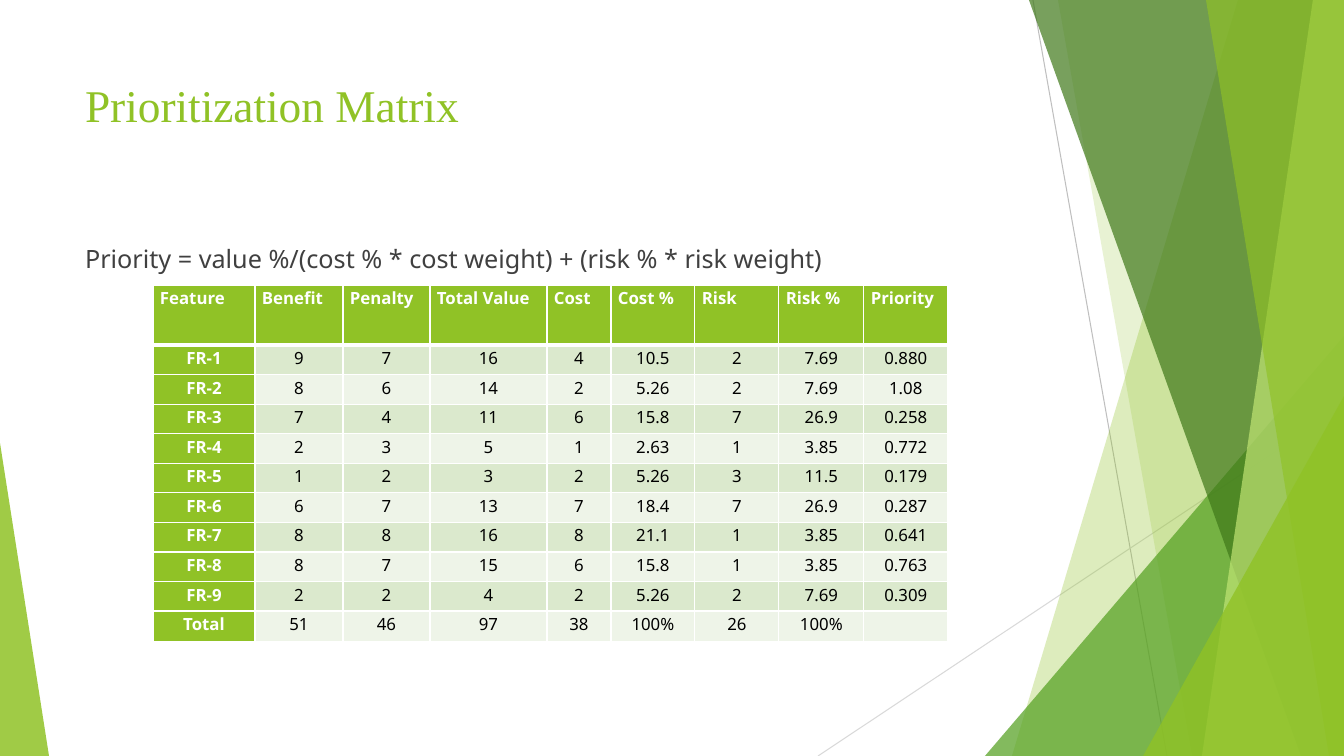
import pptx
import pptx.dml.color
import pptx.enum.shapes
import pptx.enum.text
import pptx.oxml.ns
import pptx.util
from lxml import etree

TITLE = "Prioritization Matrix"
FORMULA = "Priority = value %/(cost % * cost weight) + (risk % * risk weight)"
TABLE_ROWS = [
    ("Feature", "Benefit", "Penalty", "Total Value", "Cost", "Cost %", "Risk", "Risk %", "Priority"),
    ("FR-1", "9", "7", "16", "4", "10.5", "2", "7.69", "0.880"),
    ("FR-2", "8", "6", "14", "2", "5.26", "2", "7.69", "1.08"),
    ("FR-3", "7", "4", "11", "6", "15.8", "7", "26.9", "0.258"),
    ("FR-4", "2", "3", "5", "1", "2.63", "1", "3.85", "0.772"),
    ("FR-5", "1", "2", "3", "2", "5.26", "3", "11.5", "0.179"),
    ("FR-6", "6", "7", "13", "7", "18.4", "7", "26.9", "0.287"),
    ("FR-7", "8", "8", "16", "8", "21.1", "1", "3.85", "0.641"),
    ("FR-8", "8", "7", "15", "6", "15.8", "1", "3.85", "0.763"),
    ("FR-9", "2", "2", "4", "2", "5.26", "2", "7.69", "0.309"),
    ("Total", "51", "46", "97", "38", "100%", "26", "100%", ""),
]
COLORS = {
    "lime": "90C226", "green": "54A021", "forest": "3F7819", "pale": "C0E474",
    "band_dark": "DBE9CD", "band_light": "EEF4E8", "white": "FFFFFF", "black": "000000",
    "text": "404040", "line_dark": "BFBFBF", "line_light": "D9D9D9",
}
TITLE_FONT, BODY_FONT = "Times New Roman", "Noto Sans"

WIDTH, HEIGHT = 1344, 756
SCALE = 914400 / 100.8
COLUMN_WIDTHS = [102, 88, 87, 117, 64, 84, 84, 85, 84]
TABLE_LEFT, TABLE_TOP = 153, 285
HEADER_HEIGHT, BODY_HEIGHT = 60, 296

FACET_LINES = [((1033, 0), (1167, HEIGHT), "line_dark"), ((WIDTH, 406), (818, HEIGHT), "line_light")]
# Bands run to the right edge: top left x, bottom left x, colour, opacity in percent.
# Triangles stand on the bottom edge: left, top, width, apex position, colour, opacity.
FACETS = [
    ("band", 1238, 1012, "lime", 30),
    ("band", 1058, 1192, "lime", 20),
    ("triangle", 985, 336, 359, 1, "green", 72),
    ("band", 1029, 1301, "forest", 70),
    ("band", 1313, 1202, "pale", 70),
    ("band", 1206, 1329, "lime", 65),
    ("triangle", 1143, 396, 201, 1, "lime", 80),
    ("triangle", 0, 443, 49, 0, "lime", 85),
]


def emu(pixels):
    """Turn pixels into EMU."""
    return pptx.util.Emu(round(pixels * SCALE))


def rgb(name):
    """Look up a named colour."""
    return pptx.dml.color.RGBColor.from_string(COLORS[name])


def write_text(frame, text, font, size, color, bold=False, align="LEFT", spacing=None, inset=(10, 5)):
    """Write one formatted paragraph into a text frame."""
    frame.word_wrap = True
    frame.vertical_anchor = pptx.enum.text.MSO_ANCHOR.TOP
    frame.margin_left = frame.margin_right = emu(inset[0])
    frame.margin_top, frame.margin_bottom = emu(inset[1]), 0
    paragraph = frame.paragraphs[0]
    paragraph.alignment = getattr(pptx.enum.text.PP_ALIGN, align)
    paragraph.line_spacing = spacing
    run = paragraph.add_run()
    run.text = text
    run.font.name, run.font.size, run.font.bold = font, pptx.util.Pt(size), bold
    run.font.color.rgb = rgb(color)


def add_line(slide, start, end, color):
    """Draw a thin line without a shadow."""
    line = slide.shapes.add_connector(
        pptx.enum.shapes.MSO_CONNECTOR.STRAIGHT, *map(emu, start + end))
    line.line.color.rgb = rgb(color)
    line.line.width = pptx.util.Pt(0.75)
    etree.SubElement(line.element.spPr, pptx.oxml.ns.qn("a:effectLst"))


def style_facet(shape, color, opacity):
    """Give a facet its translucent fill."""
    shape.shadow.inherit = False
    shape.line.fill.background()
    shape.fill.solid()
    shape.fill.fore_color.rgb = rgb(color)
    fill_color = next(shape.element.spPr.iter(pptx.oxml.ns.qn("a:srgbClr")))
    etree.SubElement(fill_color, pptx.oxml.ns.qn("a:alpha"), val=str(opacity * 1000))


def add_band(slide, top_x, bottom_x):
    """Draw a four-sided band that reaches the right edge."""
    builder = slide.shapes.build_freeform(top_x, 0, scale=SCALE)
    builder.add_line_segments([(WIDTH, 0), (WIDTH, HEIGHT), (bottom_x, HEIGHT)], close=True)
    return builder.convert_to_shape()


def add_triangle(slide, left, top, width, apex):
    """Draw a triangle that stands on the bottom edge."""
    triangle = slide.shapes.add_shape(
        pptx.enum.shapes.MSO_SHAPE.ISOSCELES_TRIANGLE,
        emu(left), emu(top), emu(width), emu(HEIGHT - top))
    triangle.adjustments[0] = apex
    return triangle


def set_borders(cell, **widths):
    """Set white cell borders, with widths in points by side."""
    properties = cell._tc.get_or_add_tcPr()
    for side in "LRTB":
        border = etree.SubElement(properties, pptx.oxml.ns.qn("a:ln" + side),
                                  w=str(pptx.util.Pt(widths.get(side, 1))))
        fill = etree.SubElement(border, pptx.oxml.ns.qn("a:solidFill"))
        etree.SubElement(fill, pptx.oxml.ns.qn("a:srgbClr"), val=COLORS["white"])


def add_matrix(slide):
    """Build the prioritization table."""
    body_count = len(TABLE_ROWS) - 1
    table = slide.shapes.add_table(
        len(TABLE_ROWS), len(COLUMN_WIDTHS), emu(TABLE_LEFT), emu(TABLE_TOP),
        emu(sum(COLUMN_WIDTHS)), emu(HEADER_HEIGHT + BODY_HEIGHT)).table
    for column, width in zip(table.columns, COLUMN_WIDTHS):
        column.width = emu(width)
    for row_index, values in enumerate(TABLE_ROWS):
        is_header = row_index == 0
        table.rows[row_index].height = emu(HEADER_HEIGHT if is_header else BODY_HEIGHT / body_count)
        band = "band_dark" if row_index % 2 else "band_light"
        for column_index, value in enumerate(values):
            cell = table.cell(row_index, column_index)
            is_heading = is_header or column_index == 0
            set_borders(cell, B=3 if is_header else 1, T=3 if row_index == 1 else 1)
            cell.fill.solid()
            cell.fill.fore_color.rgb = rgb("lime" if is_heading else band)
            cell.margin_left = cell.margin_right = emu(7)
            cell.margin_top = cell.margin_bottom = 0
            if value:
                write_cell(cell, value, is_heading, "LEFT" if is_header else "CENTER")


def write_cell(cell, value, is_heading, align):
    """Write a table value, bold and white in headings."""
    paragraph = cell.text_frame.paragraphs[0]
    paragraph.alignment = getattr(pptx.enum.text.PP_ALIGN, align)
    paragraph.line_spacing = 1.07
    run = paragraph.add_run()
    run.text = value
    run.font.name, run.font.size, run.font.bold = BODY_FONT, pptx.util.Pt(12), is_heading
    run.font.color.rgb = rgb("white" if is_heading else "black")


presentation = pptx.Presentation()
presentation.slide_width, presentation.slide_height = emu(WIDTH), emu(HEIGHT)
slide = presentation.slides.add_slide(presentation.slide_layouts[5])

for start, end, color in FACET_LINES:
    add_line(slide, start, end, color)
for kind, *geometry, color, opacity in FACETS:
    draw = add_band if kind == "band" else add_triangle
    style_facet(draw(slide, *geometry), color, opacity)

title = slide.shapes.title
title.left, title.top, title.width, title.height = map(emu, (75, 68, 947, 115))
write_text(title.text_frame, TITLE, TITLE_FONT, 32.4, "lime", inset=(10, 9))

formula = slide.shapes.add_textbox(*map(emu, (75, 238, 947, 427)))
write_text(formula.text_frame, FORMULA, BODY_FONT, 18, "text")
add_matrix(slide)

presentation.save("out.pptx")
